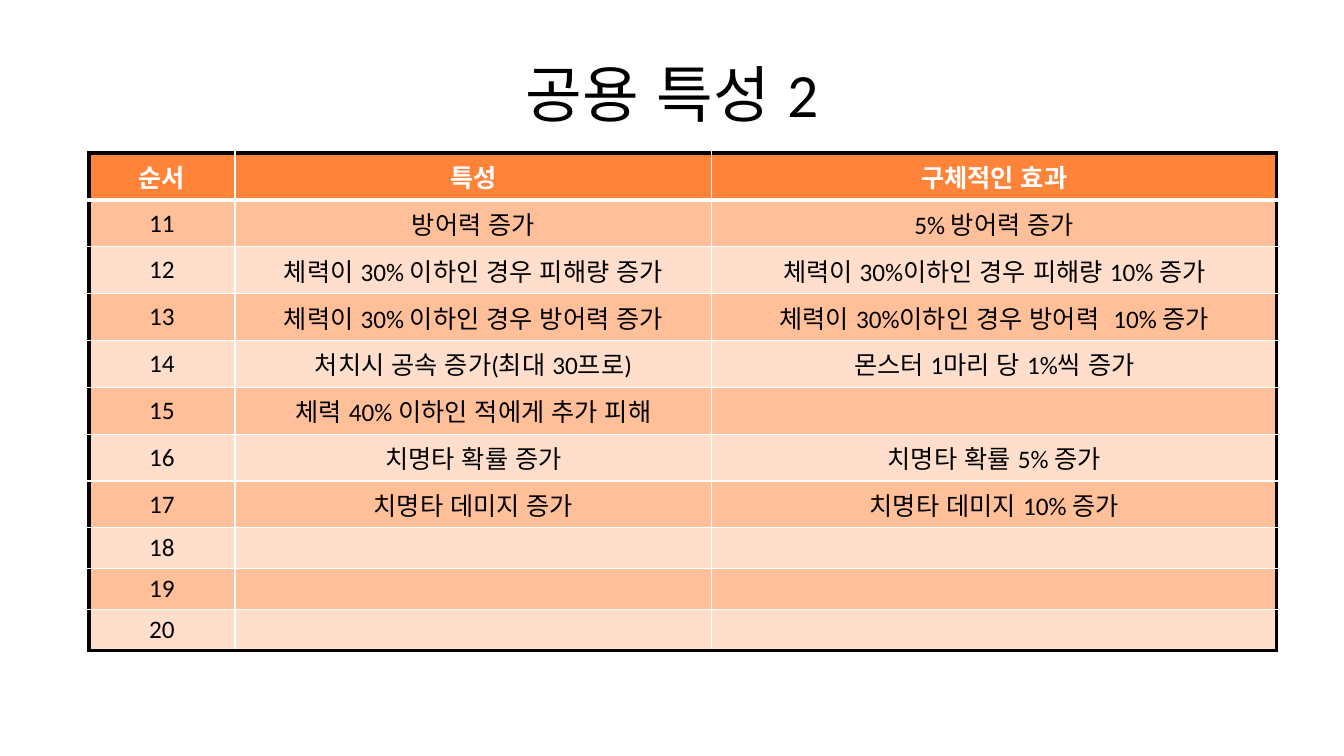
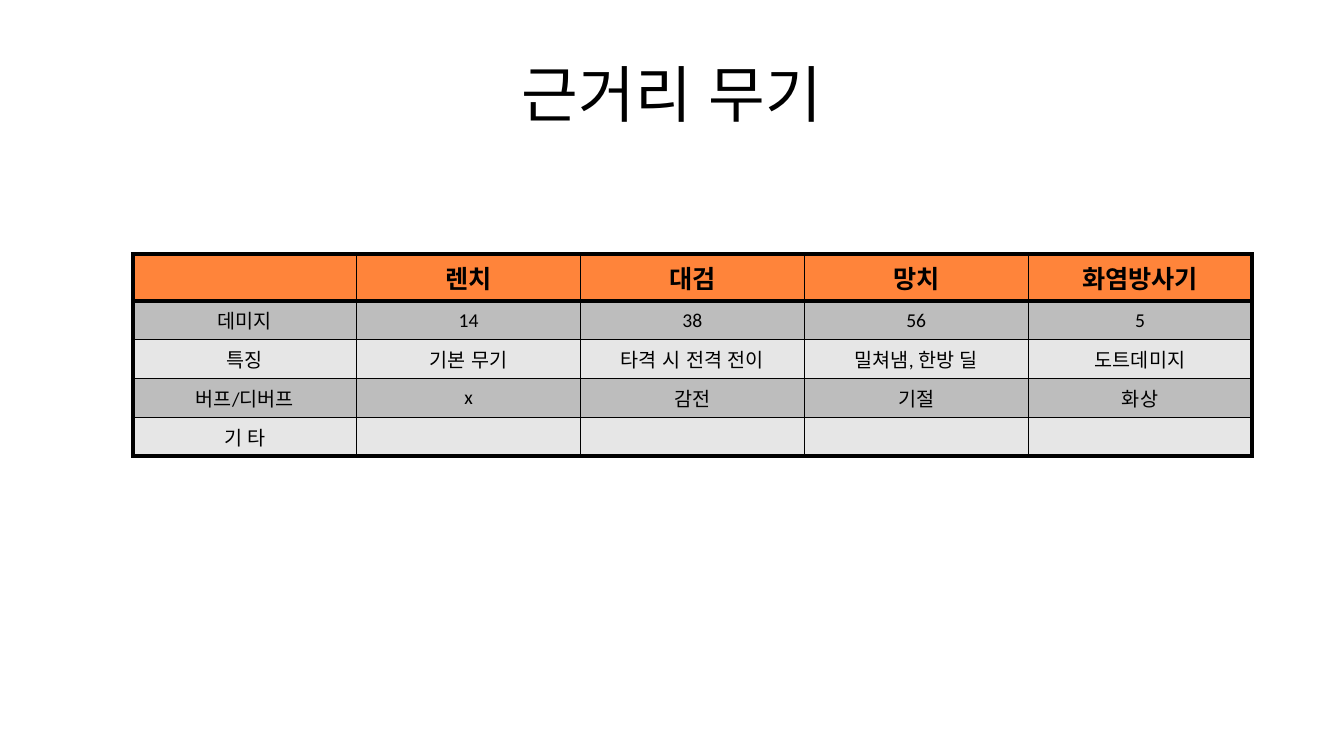
from dataclasses import dataclass

from lxml import etree
from pptx import Presentation
from pptx.dml.color import RGBColor
from pptx.enum.lang import MSO_LANGUAGE_ID
from pptx.enum.text import MSO_ANCHOR, PP_ALIGN
from pptx.oxml.ns import qn
from pptx.util import Cm, Pt

CENTER = PP_ALIGN.CENTER
TOP, MIDDLE = MSO_ANCHOR.TOP, MSO_ANCHOR.MIDDLE
KOREAN = MSO_LANGUAGE_ID.KOREAN


@dataclass(frozen=True)
class Theme:
    font: str = "Calibri"
    black: str = "000000"
    white: str = "FFFFFF"
    header: str = "FF843A"
    peach: tuple = ("FFBF99", "FFDFCC")
    gray: tuple = ("BDBDBD", "E6E6E6")
    title_size: int = 44
    header_size: int = 18
    small_size: int = 14
    grid_width: float = 1


@dataclass(frozen=True)
class TableLook:
    header_text: str
    bands: tuple
    body_size: int
    grid: str
    frame_width: float
    header_rule: float


THEME = Theme()
TRAIT_LOOK = TableLook(THEME.white, THEME.peach, THEME.header_size,
                       THEME.white, 3, 3)
WEAPON_LOOK = TableLook(THEME.black, THEME.gray, THEME.small_size,
                        THEME.black, 3.15, 2.79)

TITLE_BOX = (1.7, 0.76, 30.48, 3.18)

TRAITS = [
    ("방어력 증가", "5% 방어력 증가"),
    ("체력이 30% 이하인 경우 피해량 증가", "체력이 30%이하인 경우 피해량 10% 증가"),
    ("체력이 30% 이하인 경우 방어력 증가", "체력이 30%이하인 경우 방어력  10% 증가"),
    ("처치시 공속 증가(최대 30프로)", "몬스터 1마리 당 1%씩 증가"),
    ("체력 40% 이하인 적에게 추가 피해", ""),
    ("치명타 확률 증가", "치명타 확률 5% 증가"),
    ("치명타 데미지 증가", "치명타 데미지 10% 증가"),
    ("", ""),
    ("", ""),
    ("", ""),
]
TRAIT_ROWS = [("순서", "특성", "구체적인 효과")] + [
    (str(number), *trait) for number, trait in enumerate(TRAITS, 11)]

WEAPON_ROWS = [
    ("", "렌치", "대검", "망치", "화염방사기"),
    ("데미지", "14", "38", "56", "5"),
    ("특징", "기본 무기", "타격 시 전격 전이", "밀쳐냄, 한방 딜", "도트데미지"),
    ("버프/디버프", "x", "감전", "기절", "화상"),
    ("기 타", "", "", "", ""),
]


def style_paragraph(p, size, color, bold=False):
    p.alignment = CENTER
    p.font.name = THEME.font
    p.font.size = Pt(size)
    p.font.bold = bold
    p.font.color.rgb = RGBColor.from_string(color)
    for r in p.runs:
        r.font.language_id = KOREAN
    if not p.text:
        # An empty line takes its height from the end mark
        etree.SubElement(p._p, qn("a:endParaRPr"), sz=str(size * 100))


def set_borders(cell, borders):
    """Draw the (colour, width) of the left, right, top and bottom edges."""
    tcPr = cell._tc.get_or_add_tcPr()
    for i, (side, (color, width)) in enumerate(zip("LRTB", borders)):
        ln = etree.Element(qn("a:ln" + side), w=str(Pt(width)))
        fill = etree.SubElement(ln, qn("a:solidFill"))
        etree.SubElement(fill, qn("a:srgbClr"), val=color)
        tcPr.insert(i, ln)


def add_title(slide, text, box):
    tf = slide.shapes.add_textbox(*map(Cm, box)).text_frame
    tf.word_wrap = True
    tf.vertical_anchor = MIDDLE
    p = tf.paragraphs[0]
    p.text = text
    style_paragraph(p, THEME.title_size, THEME.black)


def add_framed_table(slide, rows, origin, col_widths, row_heights, look):
    size = (sum(col_widths), sum(row_heights))
    table = slide.shapes.add_table(len(rows), len(col_widths),
                                   *map(Cm, origin + size)).table
    table.first_row = table.horz_banding = False
    for column, width in zip(table.columns, col_widths):
        column.width = Cm(width)
    for row, height in zip(table.rows, row_heights):
        row.height = Cm(height)

    # Edges between neighbouring columns and rows, outer frame included
    grid = (look.grid, THEME.grid_width)
    frame = (THEME.black, look.frame_width)
    col_edges = [frame] + [grid] * (len(col_widths) - 1) + [frame]
    row_edges = [frame] + [grid] * (len(rows) - 1) + [frame]
    row_edges[1] = (look.grid, look.header_rule)

    for r, values in enumerate(rows):
        is_header = r == 0
        fill = THEME.header if is_header else look.bands[(r - 1) % 2]
        for c, value in enumerate(values):
            cell = table.cell(r, c)
            cell.fill.solid()
            cell.fill.fore_color.rgb = RGBColor.from_string(fill)
            cell.vertical_anchor = TOP if is_header else MIDDLE
            p = cell.text_frame.paragraphs[0]
            p.text = value
            style_paragraph(
                p,
                THEME.header_size if is_header else look.body_size,
                look.header_text if is_header else THEME.black,
                is_header)
            set_borders(cell, col_edges[c:c + 2] + row_edges[r:r + 2])


def add_table_slide(prs, title, *table_args):
    slide = prs.slides.add_slide(prs.slide_layouts[6])
    add_title(slide, title, TITLE_BOX)
    add_framed_table(slide, *table_args)


def main():
    prs = Presentation()
    prs.slide_width, prs.slide_height = Cm(33.87), Cm(19.05)

    # Shared traits; the three rows still to be filled in are lower
    add_table_slide(prs, "공용 특성 2", TRAIT_ROWS, (2.24, 3.86),
                    [3.68, 12.02, 14.23], [1.18] * 8 + [1.03] * 3, TRAIT_LOOK)
    # Melee weapons
    add_table_slide(prs, "근거리 무기", WEAPON_ROWS, (3.35, 6.4),
                    [5.64] * 5, [1.18] + [0.98] * 4, WEAPON_LOOK)

    prs.save("out.pptx")


if __name__ == "__main__":
    main()
